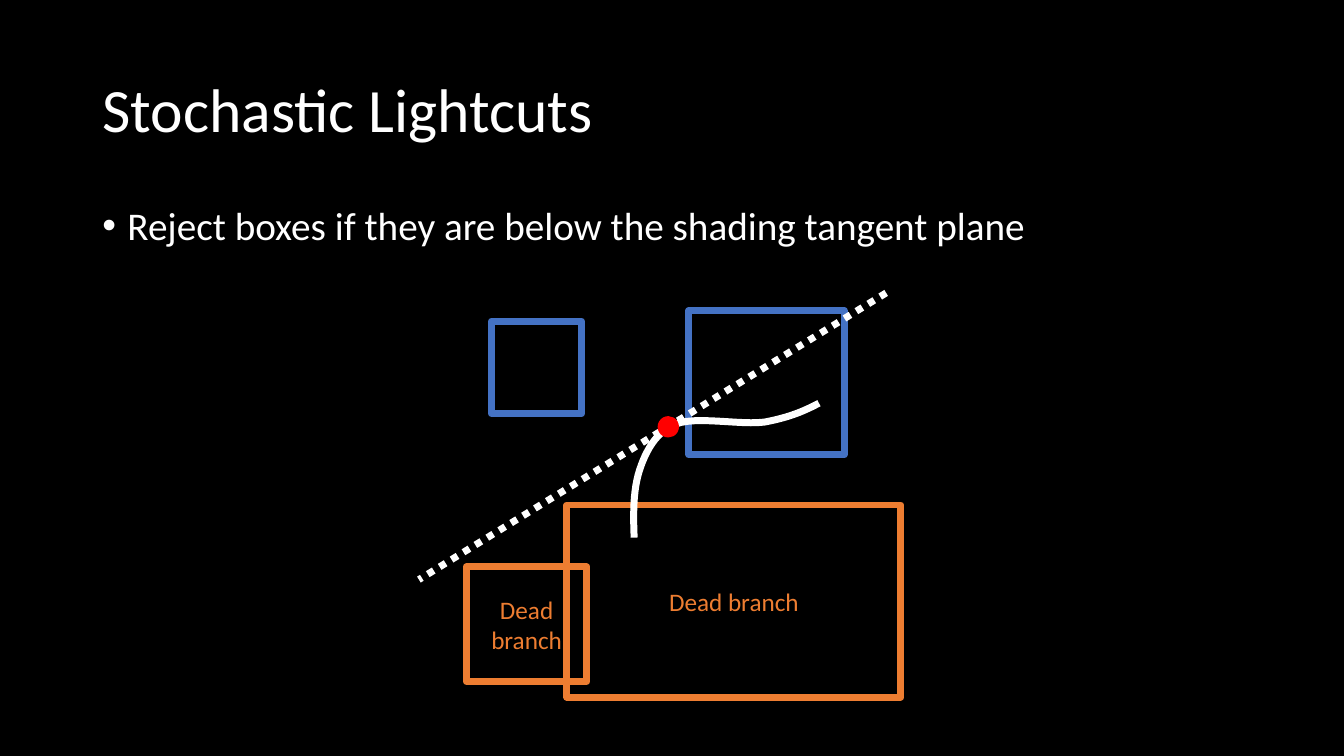
from dataclasses import dataclass

from lxml.etree import SubElement
from pptx import Presentation
from pptx.dml.color import RGBColor
from pptx.enum.dml import MSO_LINE
from pptx.enum.shapes import MSO_CONNECTOR, MSO_SHAPE
from pptx.enum.text import MSO_ANCHOR, MSO_AUTO_SIZE, PP_ALIGN
from pptx.oxml.ns import qn
from pptx.slide import Slide
from pptx.text.text import TextFrame
from pptx.util import Emu, Pt

PX = 9525  # EMU per px, 96 px to the inch
BLACK = RGBColor(0x00, 0x00, 0x00)
WHITE = RGBColor(0xFF, 0xFF, 0xFF)
BLUE = RGBColor(0x44, 0x72, 0xC4)
ORANGE = RGBColor(0xED, 0x7D, 0x31)
RED = RGBColor(0xFF, 0x00, 0x00)
STROKE = Pt(5)
CURVE_STEPS = 12

Point = tuple[int, int]


@dataclass(frozen=True)
class Box:
    left: int
    top: int
    width: int
    height: int
    color: RGBColor
    label: str = ""

    def extent(self) -> list[Emu]:
        return [px(n) for n in (self.left, self.top, self.width, self.height)]


DEAD_BRANCH = Box(540, 481, 318, 183, ORANGE, "Dead branch")
CROSSING_BOX = Box(656, 296, 148, 137, BLUE)
SMALL_DEAD_BRANCH = Box(444, 540, 115, 109, ORANGE, "Dead branch")
VISIBLE_BOX = Box(468, 306, 86, 88, BLUE)
SHADING_POINT = Box(627, 397, 19, 19, RED)

# Start of the surface, then two control points and an end per cubic segment
SURFACE_START: Point = (604, 512)
SURFACE_CURVES: list[tuple[Point, Point, Point]] = [
    ((603, 489), (603, 467), (609, 448)),
    ((615, 430), (624, 412), (643, 404)),
    ((663, 396), (705, 405), (728, 402)),
    ((750, 398), (765, 392), (780, 384)),
]


def px(length: float) -> Emu:
    return Emu(round(length * PX))


def write(frame: TextFrame, text: str, *, size: int, color: RGBColor,
          align: PP_ALIGN = PP_ALIGN.LEFT, anchor: MSO_ANCHOR = MSO_ANCHOR.MIDDLE,
          spacing: float = 1.0, bullet: bool = False) -> None:
    frame.word_wrap = True
    frame.auto_size = MSO_AUTO_SIZE.NONE
    frame.vertical_anchor = anchor
    paragraph = frame.paragraphs[0]
    paragraph.text = text
    paragraph.alignment = align
    paragraph.line_spacing = spacing
    if bullet:
        properties = paragraph._p.get_or_add_pPr()
        properties.set("marL", str(px(24)))
        properties.set("indent", str(px(-24)))
        SubElement(properties, qn("a:buFont")).set("typeface", "Arial")
        SubElement(properties, qn("a:buChar")).set("char", "•")
    paragraph.font.name = "Calibri"
    paragraph.font.size = Pt(size)
    paragraph.font.color.rgb = color


def draw_box(slide: Slide, box: Box) -> None:
    outline = slide.shapes.add_shape(MSO_SHAPE.RECTANGLE, *box.extent())
    outline.shadow.inherit = False
    outline.fill.background()
    outline.line.color.rgb = box.color
    outline.line.width = STROKE
    if box.label:
        write(outline.text_frame, box.label, size=18, color=box.color,
              align=PP_ALIGN.CENTER)


def draw_tangent_plane(slide: Slide, start: Point, end: Point) -> None:
    plane = slide.shapes.add_connector(
        MSO_CONNECTOR.STRAIGHT, *(px(n) for n in start + end))
    plane.line.color.rgb = WHITE
    plane.line.width = STROKE
    plane.line.dash_style = MSO_LINE.ROUND_DOT
    SubElement(plane._element.spPr, qn("a:effectLst"))


def cubic(t: float, a: float, b: float, c: float, d: float) -> float:
    u = 1 - t
    return u**3 * a + 3 * u * u * t * b + 3 * u * t * t * c + t**3 * d


def draw_surface(slide: Slide) -> None:
    points: list[tuple[Emu, Emu]] = []
    start = SURFACE_START
    for curve in SURFACE_CURVES:
        xs, ys = zip(start, *curve)
        for step in range(1, CURVE_STEPS + 1):
            t = step / CURVE_STEPS
            points.append((px(cubic(t, *xs)), px(cubic(t, *ys))))
        start = curve[-1]
    builder = slide.shapes.build_freeform(*(px(n) for n in SURFACE_START))
    builder.add_line_segments(points, close=False)
    surface = builder.convert_to_shape()
    surface.shadow.inherit = False
    surface.fill.background()
    surface.line.color.rgb = WHITE
    surface.line.width = STROKE


def draw_shading_point(slide: Slide) -> None:
    dot = slide.shapes.add_shape(MSO_SHAPE.OVAL, *SHADING_POINT.extent())
    dot.shadow.inherit = False
    dot.fill.solid()
    dot.fill.fore_color.rgb = SHADING_POINT.color
    dot.line.color.rgb = SHADING_POINT.color
    dot.line.width = Pt(1)


def main() -> None:
    deck = Presentation()
    deck.slide_width, deck.slide_height = px(1280), px(720)
    slide = deck.slides.add_slide(deck.slide_layouts[5])
    slide.background.fill.solid()
    slide.background.fill.fore_color.rgb = BLACK

    # Title and statement
    title = slide.shapes.title
    title.left, title.top, title.width, title.height = map(px, (88, 38, 1104, 139))
    write(title.text_frame, "Stochastic Lightcuts", size=44, color=WHITE, spacing=0.9)
    statement = slide.shapes.add_textbox(*map(px, (88, 192, 1104, 457)))
    write(statement.text_frame,
          "Reject boxes if they are below the shading tangent plane",
          size=28, color=WHITE, anchor=MSO_ANCHOR.TOP, spacing=0.9, bullet=True)

    # Diagram, from back to front
    draw_box(slide, DEAD_BRANCH)
    draw_box(slide, CROSSING_BOX)
    draw_tangent_plane(slide, (844, 279), (399, 552))
    draw_surface(slide)
    draw_shading_point(slide)
    draw_box(slide, SMALL_DEAD_BRANCH)
    draw_box(slide, VISIBLE_BOX)

    deck.save("out.pptx")


if __name__ == "__main__":
    main()
